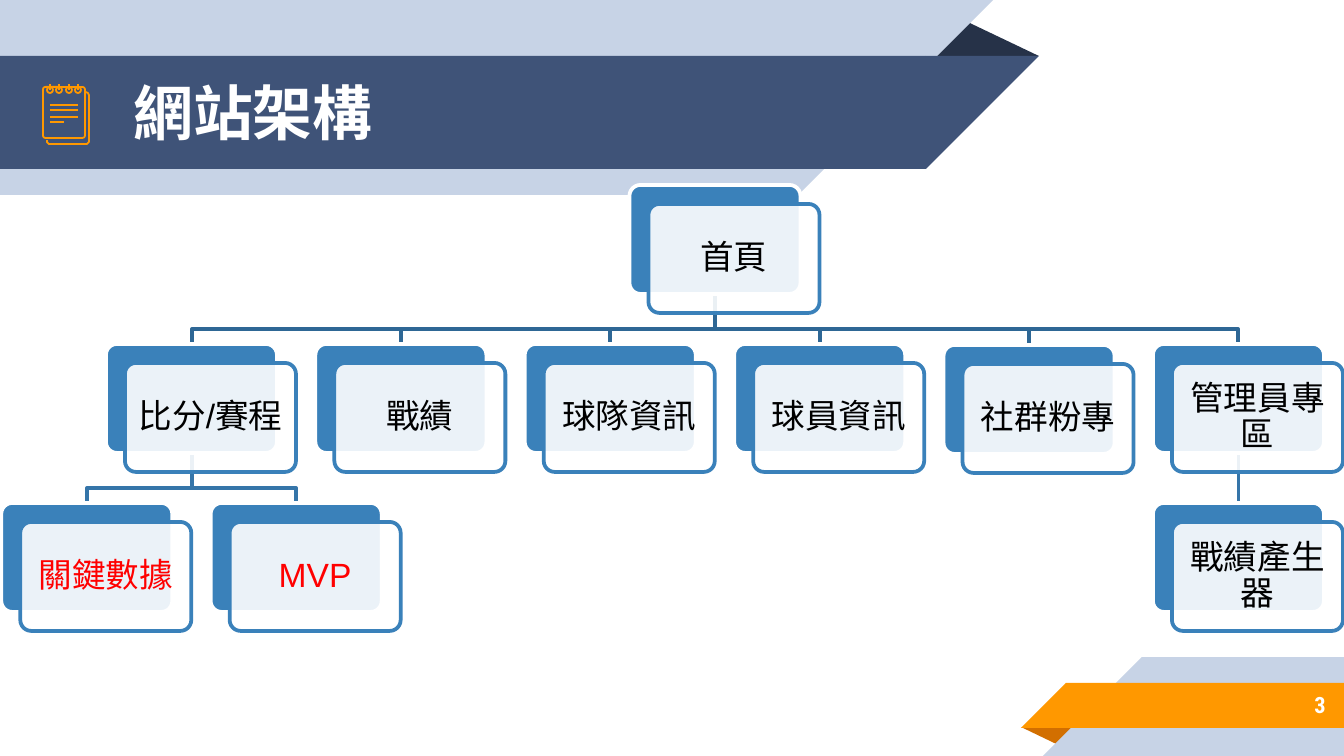
from lxml import etree
from pptx import Presentation
from pptx import util as u
from pptx.dml.color import RGBColor
from pptx.enum import shapes, text
from pptx.oxml.ns import qn

THEME = {
    "pale": "C7D3E6", "navy": "3F5378", "dark": "263248",
    "orange": "FF9800", "rust": "D26F00", "white": "FFFFFF",
    "box": "3A81BA", "link_upper": "2E6795", "link_lower": "3575A9",
    "black": "000000", "red": "FF0000",
    "title_font": "Noto Sans CJK JP", "body_font": "Arial", "number_font": "Roboto Condensed",
    "title_size": 32, "body_size": 18, "number_size": 12,
    "box_line": 2, "icon_line": 0.96,
}

# Content
TITLE = "網站架構"
PAGE_NUMBER = "3"
# label: (column, row, extra drop in px, parent, text colour)
SITE_MAP = {
    "首頁": (2.5, 0, 0, None, "black"),
    "比分/賽程": (0, 1, 0, "首頁", "black"),
    "關鍵數據": (-0.5, 2, 0, "比分/賽程", "red"),
    "MVP": (0.5, 2, 0, "比分/賽程", "red"),
    "戰績": (1, 1, 0, "首頁", "black"),
    "球隊資訊": (2, 1, 0, "首頁", "black"),
    "球員資訊": (3, 1, 0, "首頁", "black"),
    "社群粉專": (4, 1, 1, "首頁", "black"),
    "管理員專區": (5, 1, 0, "首頁", "black"),
    "戰績產生器": (5, 2, 0, "管理員專區", "black"),
}
KIND = shapes.MSO_SHAPE
# kind, (left, top, width, height), colour, rotation
RIBBONS = [
    (KIND.ISOSCELES_TRIANGLE, (925, 19, 114, 37), "dark", 0),
    (KIND.RECTANGLE, (0, 0, 798, 195), "pale", 0),
    (KIND.RIGHT_TRIANGLE, (798, 0, 195, 195), "pale", 90),
    (KIND.RECTANGLE, (0, 56, 926, 113), "navy", 0),
    (KIND.RIGHT_TRIANGLE, (926, 56, 113, 113), "navy", 90),
    (KIND.ISOSCELES_TRIANGLE, (1021, 727, 58, 19), "rust", 180),
    (KIND.RECTANGLE, (1142, 657, 202, 99), "pale", 0),
    (KIND.RIGHT_TRIANGLE, (1043, 657, 99, 99), "pale", 270),
    (KIND.RECTANGLE, (1066, 683, 278, 45), "orange", 0),
    (KIND.RIGHT_TRIANGLE, (1021, 683, 45, 45), "orange", 270),
]
RING_CENTRES = [50, 59, 69, 78]
NOTE_LINES = [(105, 78), (110, 78), (117, 78), (122, 64)]  # y, right end
BACK_PAGE = [(47, 140), (47, 142), (49, 144), (87, 144),
             (89, 142), (89, 95), (88, 93), (86, 92)]

# Grid of the site map, in px
BOX_WIDTH, BOX_HEIGHT = 171, 109
FIRST_LEFT, LAST_LEFT, COLUMN_GAPS = 106, 1153, 5
FIRST_TOP, ROW_PITCH = 185, 159
FRONT_SHIFT = 19
BEND_DROP = 35
SCALE = 914400 / 134.4


def px(value):
    return u.Emu(round(value * SCALE))


def color(name):
    return RGBColor.from_string(THEME[name])


def outline(shape, name, width):
    shape.line.color.rgb = color(name)
    shape.line.width = u.Pt(width)


def add_shape(kind, box, fill=None, line=None, width=0):
    shape = slide.shapes.add_shape(kind, *map(px, box))
    shape.shadow.inherit = False
    if fill:
        shape.fill.solid()
        shape.fill.fore_color.rgb = color(fill)
    else:
        shape.fill.background()
    if line:
        outline(shape, line, width)
    else:
        shape.line.fill.background()
    return shape


def add_polyline(points, name, width):
    builder = slide.shapes.build_freeform(*points[0], scale=SCALE)
    builder.add_line_segments(points[1:], close=False)
    shape = builder.convert_to_shape()
    shape.shadow.inherit = False
    shape.fill.background()
    outline(shape, name, width)
    return shape


def add_line(start, end, name, width):
    line = slide.shapes.add_connector(
        shapes.MSO_CONNECTOR.STRAIGHT, *map(px, start + end))
    outline(line, name, width)
    etree.SubElement(line._element.spPr, qn("a:effectLst"))
    return line


def write(shape, words, role, name, align, inset, bold=False):
    frame = shape.text_frame
    frame.word_wrap = True
    frame.auto_size = text.MSO_AUTO_SIZE.NONE
    frame.vertical_anchor = text.MSO_ANCHOR.MIDDLE
    frame.margin_left = frame.margin_right = u.Inches(inset)
    frame.margin_top = frame.margin_bottom = u.Inches(inset)
    paragraph = frame.paragraphs[0]
    paragraph.text = words
    paragraph.alignment = align
    font = paragraph.font
    font.name, font.size = THEME[role + "_font"], u.Pt(THEME[role + "_size"])
    font.bold, font.color.rgb = bold, color(name)
    return paragraph


presentation = Presentation()
presentation.slide_width, presentation.slide_height = px(1344), px(756)
slide = presentation.slides.add_slide(presentation.slide_layouts[5])
tree = slide.shapes._spTree

# Ribbons
for kind, box, fill, rotation in RIBBONS:
    ribbon = add_shape(kind, box, fill)
    ribbon.rotation = rotation
    if kind == KIND.ISOSCELES_TRIANGLE:
        ribbon.adjustments[0] = 0.32

# Title and page number
title = slide.shapes.title
title.left, title.top, title.width, title.height = map(px, (120, 55, 773, 113))
paragraph = write(title, TITLE, "title", "white", text.PP_ALIGN.LEFT, 0.1, True)
east_asian = etree.SubElement(paragraph.font._element, qn("a:ea"))
east_asian.set("typeface", THEME["title_font"])
tree.append(title._element)
number = slide.shapes.add_textbox(*map(px, (1120, 681, 219, 47)))
write(number, PAGE_NUMBER, "number", "white", text.PP_ALIGN.RIGHT, 0.1, True)

# Notepad icon
icon_line = ("orange", THEME["icon_line"])
add_polyline(BACK_PAGE, *icon_line)
page = add_shape(KIND.ROUNDED_RECTANGLE, (43, 87, 42, 51), None, *icon_line)
page.adjustments[0] = 0.06
for centre in RING_CENTRES:
    add_shape(KIND.OVAL, (centre - 3, 87, 6, 6), None, *icon_line)
    add_line((centre, 84), (centre, 90), *icon_line)
for y, right in NOTE_LINES:
    add_line((50, y), (right, y), *icon_line)

# Site map boxes: a solid card behind, a translucent labelled card in front
links_position = len(tree)
cards, corners = {}, {}
for label, (column, row, drop, parent, ink) in SITE_MAP.items():
    left = FIRST_LEFT + column * (LAST_LEFT - FIRST_LEFT) / COLUMN_GAPS
    top = FIRST_TOP + row * ROW_PITCH + drop
    corners[label] = left, top
    back = add_shape(KIND.ROUNDED_RECTANGLE, (left, top, BOX_WIDTH, BOX_HEIGHT),
                     "box", "white", THEME["box_line"])
    front = add_shape(KIND.ROUNDED_RECTANGLE,
                      (left + FRONT_SHIFT, top + FRONT_SHIFT, BOX_WIDTH, BOX_HEIGHT),
                      "white", "box", THEME["box_line"])
    back.adjustments[0] = front.adjustments[0] = 0.1
    fill_color = front._element.spPr.find(qn("a:solidFill"))[0]
    etree.SubElement(fill_color, qn("a:alpha")).set("val", "90000")
    write(front, label, "body", ink, text.PP_ALIGN.CENTER, 0.07).line_spacing = 0.9
    cards[label] = back

# Links, placed behind the boxes
for label, (column, row, drop, parent, ink) in SITE_MAP.items():
    if parent is None:
        continue
    start_x, start_y = (corners[parent][0] + BOX_WIDTH / 2,
                        corners[parent][1] + BOX_HEIGHT)
    end_x, end_y = corners[label][0] + BOX_WIDTH / 2, corners[label][1]
    style = ("link_upper" if row == 1 else "link_lower", THEME["box_line"])
    if start_x == end_x:
        link = add_line((start_x, start_y), (end_x, end_y), *style)
        link.begin_connect(cards[parent], 2)
        link.end_connect(cards[label], 0)
    else:
        bend_y = start_y + BEND_DROP
        link = add_polyline([(start_x, start_y), (start_x, bend_y),
                             (end_x, bend_y), (end_x, end_y)], *style)
    tree.insert(links_position, link._element)

presentation.save("out.pptx")
